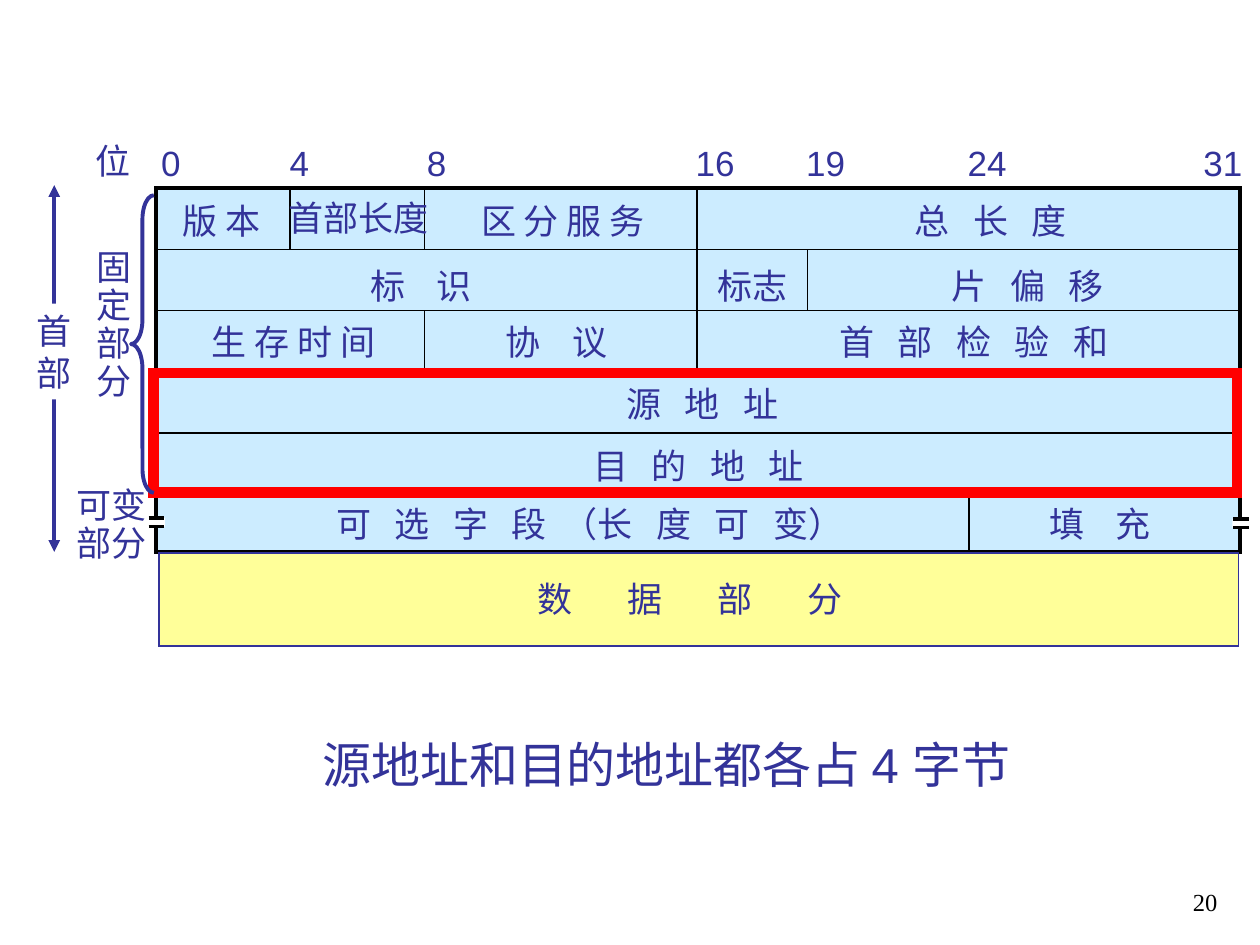
from lxml import etree
from pptx import Presentation
from pptx.dml.color import RGBColor
from pptx.enum.shapes import MSO_CONNECTOR, MSO_SHAPE
from pptx.enum.text import MSO_ANCHOR, MSO_AUTO_SIZE, PP_ALIGN
from pptx.oxml.ns import qn
from pptx.util import Pt

NAVY = RGBColor(0x33, 0x33, 0x99)
SKY = RGBColor(0xCC, 0xEC, 0xFF)
YELLOW = RGBColor(0xFF, 0xFF, 0x99)
RED = RGBColor(0xFF, 0, 0)
BLACK = RGBColor(0, 0, 0)
WHITE = RGBColor(0xFF, 0xFF, 0xFF)

prs = Presentation()
prs.slide_width, prs.slide_height = Pt(720), Pt(540)
s = prs.slides.add_slide(prs.slide_layouts[6])


def add_rect(x, y, w, h, fill, color, width):
    sp = s.shapes.add_shape(MSO_SHAPE.RECTANGLE, Pt(x), Pt(y), Pt(w), Pt(h))
    sp.shadow.inherit = False
    if fill is None:
        sp.fill.background()
    else:
        sp.fill.solid()
        sp.fill.fore_color.rgb = fill
    if color is None:
        sp.line.fill.background()
    else:
        sp.line.color.rgb = color
        sp.line.width = Pt(width)
        ln = sp._element.spPr.find(qn("a:ln"))
        etree.SubElement(ln, qn("a:miter"), lim="800000")


def add_line(x1, y1, x2, y2, color, width):
    c = s.shapes.add_connector(MSO_CONNECTOR.STRAIGHT, Pt(x1), Pt(y1), Pt(x2), Pt(y2))
    c.line.color.rgb = color
    c.line.width = Pt(width)
    etree.SubElement(c._element.spPr, qn("a:effectLst"))
    return c


arrow = add_line(31, 105.8, 31, 315.4, NAVY, 2.25)
for end in ("a:headEnd", "a:tailEnd"):
    etree.SubElement(arrow._element.spPr.find(qn("a:ln")), qn(end), type="triangle")

left, right, top, bottom = 89.3, 709, 107.3, 315.4
row_h = 34.9
rows = [142.6 + row_h * i for i in range(5)]
add_rect(left, top, 619.2, bottom - top, SKY, BLACK, 2)
add_rect(90.7, 316, 617, 53.3, YELLOW, NAVY, 1)
for y in rows:
    add_line(left, y, right, y, BLACK, 1)
dividers = [
    (165.6, top, rows[0]), (242.6, top, rows[0]), (242.6, rows[1], rows[2]),
    (398.2, top, rows[2]), (461.5, rows[0], rows[1]), (553.7, rows[4], bottom),
]
for x, y1, y2 in dividers:
    add_line(x, y1, x, y2, BLACK, 1)

for x, y in ((84.6, 296), (704.2, 296.6)):
    add_rect(x, y, 9.7, 5, WHITE, None, 0)
    for bar_y in (y, y + 4.8):
        add_line(x + 0.4, bar_y, x + 9.4, bar_y, BLACK, 2)

add_rect(87.8, 213.1, 619.2, 68.4, None, RED, 6)
brace = s.shapes.add_shape(MSO_SHAPE.LEFT_BRACE, Pt(74.9), Pt(111.6), Pt(13), Pt(170))
brace.adjustments[0] = 1.06
brace.shadow.inherit = False
brace.fill.background()
brace.line.color.rgb = NAVY
brace.line.width = Pt(2.25)

labels = [
    ("0", 85, 77.3, 26, 31), ("4", 158.4, 77.3, 26, 31), ("8", 236.9, 77.3, 26, 31),
    ("16", 390.4, 77.3, 38, 31), ("19", 453.6, 77.3, 38, 31),
    ("24", 545.8, 77.3, 38, 31), ("31", 680.6, 77.3, 38, 31),
    ("位", 47.8, 76.3, 36, 31),
    ("版 本", 97.2, 110.2, 62, 31), ("首部长度", 157.7, 108.7, 97, 31),
    ("区 分 服 务", 267.8, 110.2, 112, 31), ("总   长   度", 515.5, 110.2, 106, 31),
    ("标    识", 204.5, 147.6, 78, 31), ("标志", 402.7, 147.6, 57, 31),
    ("片   偏   移", 536.6, 147.6, 106, 31),
    ("生 存 时 间", 113.8, 179.5, 112, 31), ("协    议", 282, 179.5, 78, 31),
    ("首   部   检   验   和", 472.5, 179.5, 174, 31),
    ("源   地   址", 350.8, 215.3, 106, 31),
    ("目   的   地   址", 331.9, 250.6, 140, 31),
    ("可   选   字   段  （长   度   可   变）", 185, 283.9, 312, 31),
    ("填    充", 592.6, 283.9, 78, 31),
    ("数       据       部       分", 300.2, 326.6, 229, 31),
    ("首\n部", 13.7, 173.5, 34.5, 54.7),
    ("固\n定\n部\n分", 48.2, 139.7, 34.5, 93.6),
    ("可变\n部分", 36.7, 275.6, 57, 50.4),
    ("源地址和目的地址都各占 4 字节", 177.1, 416.2, 430, 41),
    ("20", 553, 491, 149.8, 36),
]
for text, x, y, w, h in labels:
    tb = s.shapes.add_textbox(Pt(x), Pt(y), Pt(w), Pt(h))
    tf = tb.text_frame
    tf.text = text
    tf.word_wrap = False
    tf.auto_size = MSO_AUTO_SIZE.SHAPE_TO_FIT_TEXT
    for p in tf.paragraphs:
        if text in ("固\n定\n部\n分", "可变\n部分"):
            p.line_spacing = 0.9
        font = p.runs[0].font
        font.name = "Arial"
        font.size = Pt(28 if text.startswith("源地址和") else 20)
        font.color.rgb = NAVY
    if text == "首\n部":
        tb.fill.solid()
        tb.fill.fore_color.rgb = WHITE

tf.word_wrap = True
tf.auto_size = MSO_AUTO_SIZE.NONE
tf.vertical_anchor = MSO_ANCHOR.BOTTOM
p.alignment = PP_ALIGN.RIGHT
font.name = "Times New Roman"
font.size = Pt(14)
font.color.rgb = BLACK

prs.save("out.pptx")
